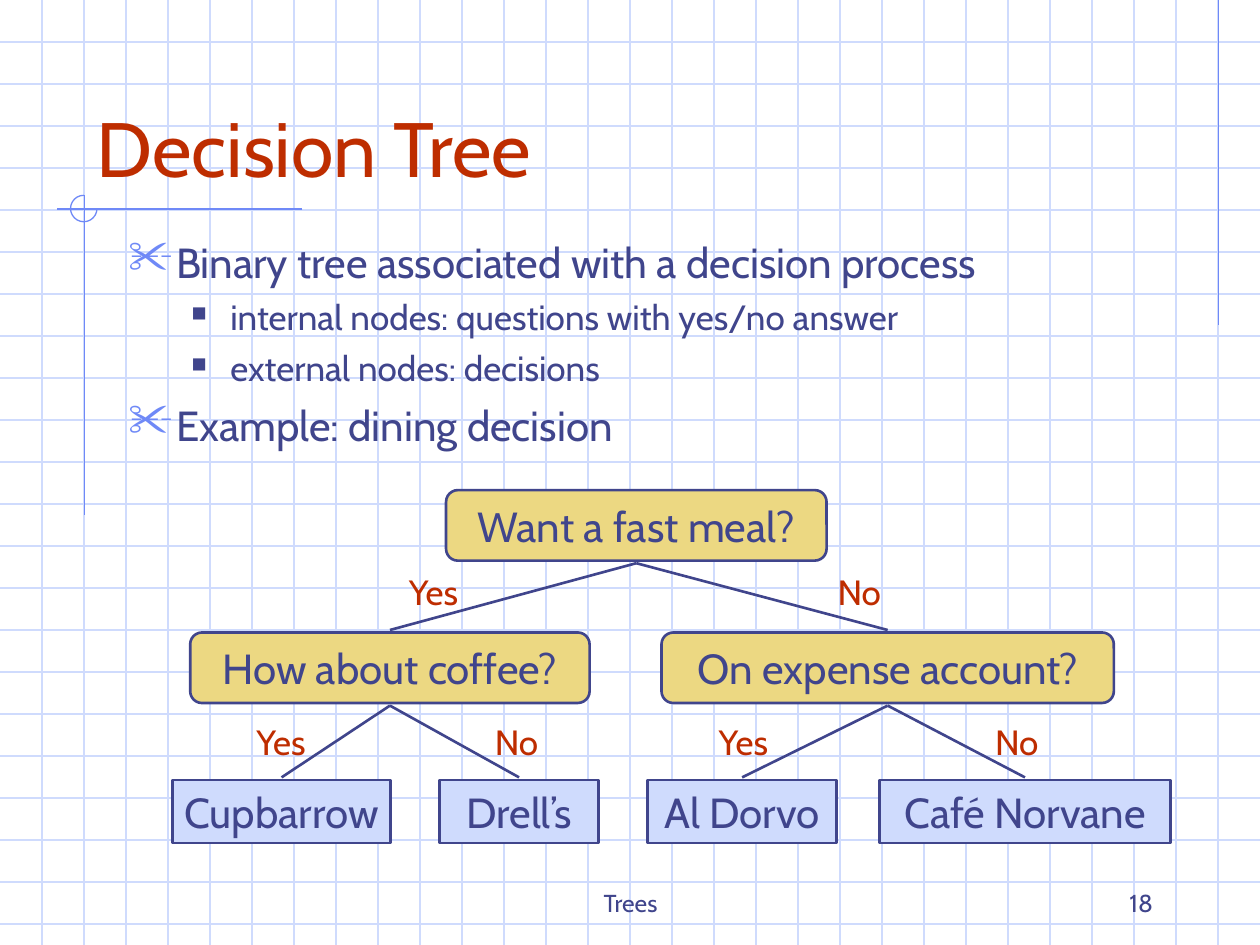
"""Build the decision tree slide with its grid background, bullets and node diagram."""
from dataclasses import dataclass
from typing import Optional

import lxml.etree
import pptx
import pptx.dml.color
import pptx.enum.shapes
import pptx.enum.text
import pptx.oxml.ns
import pptx.util

Inches = pptx.util.Inches
Pt = pptx.util.Pt
SHAPE = pptx.enum.shapes.MSO_SHAPE
ALIGN = pptx.enum.text.PP_ALIGN
ANCHOR = pptx.enum.text.MSO_ANCHOR
qn = pptx.oxml.ns.qn

FONT = "Cabin"
COLORS = {"ink": "40458C", "red": "BE2D00", "accent": "6F89F7",
          "grid": "CFDBFD", "question": "ECD882", "decision": "CFDBFD"}
WIDTH, HEIGHT, STEP = 10, 7.5, 1 / 3
EDGE_GAP = 0.02


@dataclass
class Level:
    top: float
    label_top: float = 0


@dataclass
class Node:
    text: str
    left: float
    width: float
    level: int
    parent: Optional[int] = None
    answer: str = ""
    answer_x: float = 0

    @property
    def is_question(self) -> bool:
        return self.level < 2

    @property
    def top(self) -> float:
        return LEVELS[self.level].top

    @property
    def height(self) -> float:
        return 0.56 if self.is_question else 0.5

    @property
    def center(self) -> float:
        return self.left + self.width / 2


@dataclass
class Bullet:
    char: str
    color: str
    percent: int
    margin: float
    indent: float
    size: int
    before: int
    level: int


LEVELS = [Level(3.89), Level(5.02, 4.48), Level(6.19, 5.67)]
NODES = [
    Node("Want a fast meal?", 3.54, 3.02, 0),
    Node("How about coffee?", 1.51, 3.17, 1, 0, "Yes", 3.44),
    Node("On expense account?", 5.25, 3.59, 1, 0, "No", 6.82),
    Node("Cupbarrow", 1.37, 1.73, 2, 1, "Yes", 2.23),
    Node("Drell’s", 3.49, 1.26, 2, 1, "No", 4.1),
    Node("Al Dorvo", 5.14, 1.5, 2, 2, "Yes", 5.9),
    Node("Café Norvane", 6.98, 2.31, 2, 2, "No", 8.07),
]
TOPIC = Bullet("✂", "accent", 110, 0.38, -0.38, 24, 6, 0)
DETAIL = Bullet("■", "ink", 60, 0.81, -0.31, 20, 5, 1)
BULLETS = [
    (TOPIC, "Binary tree associated with a decision process"),
    (DETAIL, "internal nodes: questions with yes/no answer"),
    (DETAIL, "external nodes: decisions"),
    (TOPIC, "Example: dining decision"),
]


def rgb(name: str) -> pptx.dml.color.RGBColor:
    return pptx.dml.color.RGBColor.from_string(COLORS[name])


def write(p, text: str, *, size: int, color: str = "ink", align=ALIGN.LEFT) -> None:
    p.alignment = align
    r = p.add_run()
    r.text = text
    r.font.name = FONT
    r.font.size = Pt(size)
    r.font.color.rgb = rgb(color)


def add_text(s, text: str, left: float, top: float, width: float, height: float, *,
             anchor=ANCHOR.TOP, wrap: bool = True, **style) -> None:
    sp = s.shapes.add_textbox(Inches(left), Inches(top), Inches(width), Inches(height))
    tf = sp.text_frame
    tf.word_wrap = wrap
    tf.vertical_anchor = anchor
    write(tf.paragraphs[0], text, **style)


def add_line(s, x1: float, y1: float, x2: float, y2: float, color: str,
             width: float = 0.75) -> None:
    line = s.shapes.add_connector(pptx.enum.shapes.MSO_CONNECTOR.STRAIGHT,
                                  Inches(x1), Inches(y1), Inches(x2), Inches(y2))
    line.line.color.rgb = rgb(color)
    line.line.width = Pt(width)
    lxml.etree.SubElement(line._element.spPr, qn("a:effectLst"))


def add_background(s) -> None:
    for i in range(1, int(HEIGHT / STEP) + 1):
        add_line(s, 0, i * STEP, WIDTH, i * STEP, "grid")
    for i in range(1, round(WIDTH / STEP)):
        add_line(s, i * STEP, 0, i * STEP, HEIGHT, "grid")
    add_line(s, 9.67, 0, 9.67, 2.58, "accent")
    add_line(s, 2.4, 1.66, 0.45, 1.66, "accent")
    add_line(s, 0.67, 1.55, 0.67, 4.09, "accent")
    arc = s.shapes.add_shape(SHAPE.ARC, Inches(0.56), Inches(1.55), Inches(0.21), Inches(0.21))
    arc.adjustments[0] = 0
    arc.adjustments[1] = 162
    arc.shadow.inherit = False
    arc.fill.background()
    arc.line.color.rgb = rgb("accent")
    arc.line.width = Pt(0.75)


def format_bullet(p, bullet: Bullet) -> None:
    p.level = bullet.level
    pPr = p._p.get_or_add_pPr()
    pPr.set("marL", str(Inches(bullet.margin)))
    pPr.set("indent", str(Inches(bullet.indent)))
    clr = lxml.etree.SubElement(pPr, qn("a:buClr"))
    lxml.etree.SubElement(clr, qn("a:srgbClr"), val=COLORS[bullet.color])
    lxml.etree.SubElement(pPr, qn("a:buSzPct"), val=str(bullet.percent * 1000))
    lxml.etree.SubElement(pPr, qn("a:buChar"), char=bullet.char)


def add_bullets(s) -> None:
    sp = s.shapes.add_textbox(Inches(0.92), Inches(1.83), Inches(8.5), Inches(2))
    tf = sp.text_frame
    tf.word_wrap = True
    for i, (bullet, text) in enumerate(BULLETS):
        p = tf.add_paragraph() if i else tf.paragraphs[0]
        format_bullet(p, bullet)
        if i:
            p.space_before = Pt(bullet.before)
        write(p, text, size=bullet.size)


def add_node(s, node: Node) -> None:
    kind = SHAPE.ROUNDED_RECTANGLE if node.is_question else SHAPE.RECTANGLE
    sp = s.shapes.add_shape(kind, Inches(node.left), Inches(node.top),
                            Inches(node.width), Inches(node.height))
    sp.shadow.inherit = False
    sp.fill.solid()
    sp.fill.fore_color.rgb = rgb("question" if node.is_question else "decision")
    sp.line.color.rgb = rgb("ink")
    sp.line.width = Pt(1.5)
    tf = sp.text_frame
    tf.word_wrap = False
    tf.vertical_anchor = ANCHOR.MIDDLE
    write(tf.paragraphs[0], node.text, size=24, align=ALIGN.CENTER)


def add_branch(s, node: Node) -> None:
    parent = NODES[node.parent]
    add_line(s, parent.center, parent.top + parent.height + EDGE_GAP,
             node.center, node.top - EDGE_GAP, "ink", 1.5)
    width = 0.65 if node.answer == "Yes" else 0.58
    add_text(s, node.answer, node.answer_x - width / 2, LEVELS[node.level].label_top,
             width, 0.44, wrap=False, size=20, color="red", align=ALIGN.CENTER)


def main() -> None:
    prs = pptx.Presentation()
    prs.slide_width, prs.slide_height = Inches(WIDTH), Inches(HEIGHT)
    s = prs.slides.add_slide(prs.slide_layouts[6])
    add_background(s)
    add_text(s, "Trees", 3.42, 6.83, 3.17, 0.5, anchor=ANCHOR.BOTTOM, size=14, align=ALIGN.CENTER)
    add_text(s, "18", 7.17, 6.83, 2.08, 0.5, anchor=ANCHOR.BOTTOM, size=14, align=ALIGN.RIGHT)
    add_text(s, "Decision Tree", 0.67, 0.33, 8.5, 1.25, anchor=ANCHOR.BOTTOM, size=44, color="red")
    add_bullets(s)
    for node in NODES:
        add_node(s, node)
    for node in NODES[1:]:
        add_branch(s, node)
    prs.save("out.pptx")


if __name__ == "__main__":
    main()
